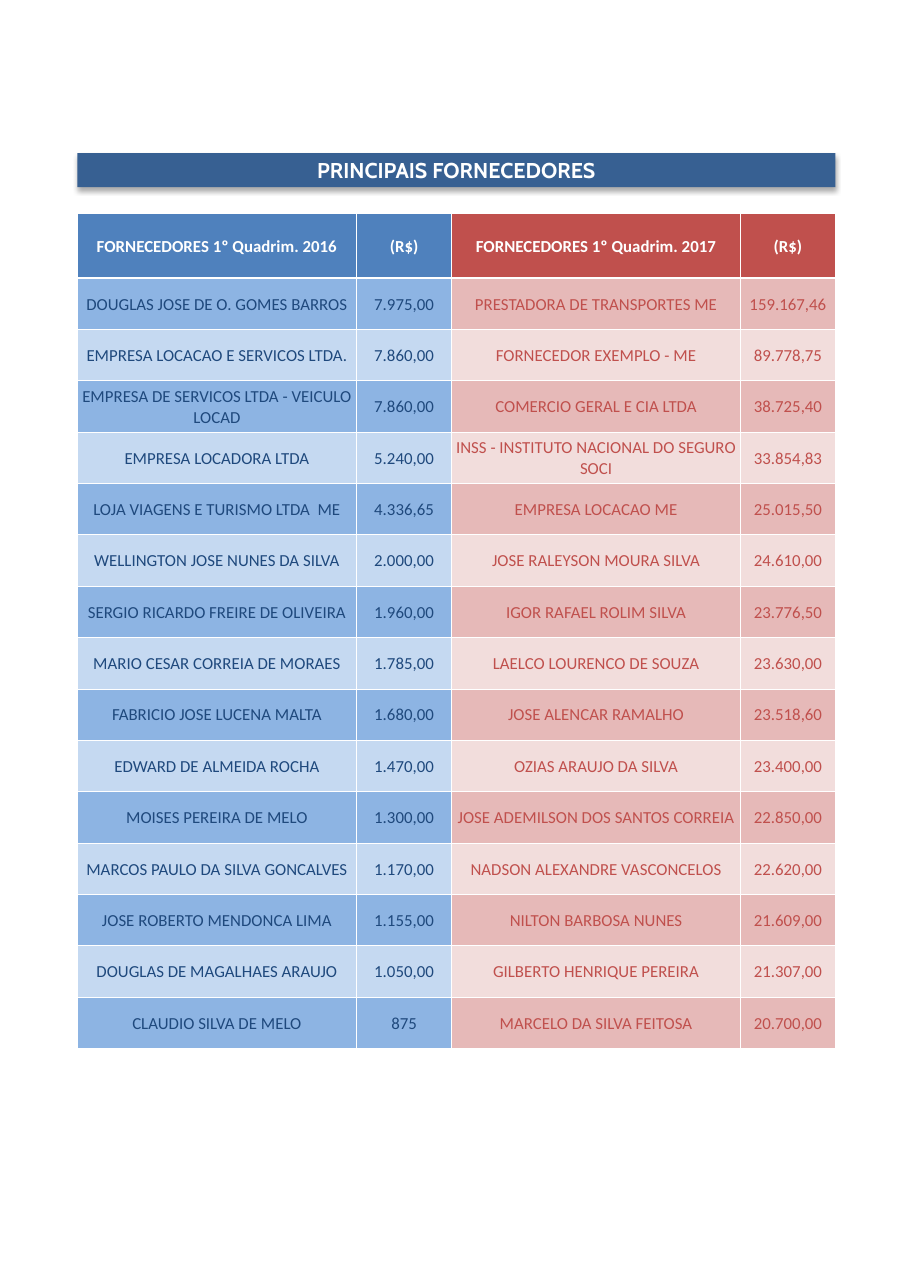
from lxml import etree
from pptx import Presentation
from pptx.dml.color import RGBColor
from pptx.enum.shapes import MSO_SHAPE
from pptx.enum.text import MSO_ANCHOR, PP_ALIGN
from pptx.oxml import parse_xml
from pptx.oxml.ns import qn
from pptx.util import Inches, Pt

RECT = MSO_SHAPE.RECTANGLE
MIDDLE = MSO_ANCHOR.MIDDLE
CENTER = PP_ALIGN.CENTER
WHITE = RGBColor(0xFF, 0xFF, 0xFF)
BLACK = RGBColor(0x00, 0x00, 0x00)
NAVY = RGBColor(0x37, 0x60, 0x92)
INK = RGBColor(0x1F, 0x49, 0x7D)
BLUE = RGBColor(0x4F, 0x81, 0xBD)
SKY = RGBColor(0x8D, 0xB4, 0xE3)
ICE = RGBColor(0xC5, 0xD9, 0xF1)
RED = RGBColor(0xC0, 0x50, 0x4D)
ROSE = RGBColor(0xE6, 0xB9, 0xB8)
BLUSH = RGBColor(0xF2, 0xDD, 0xDC)

WIDTH, HEIGHT = Inches(8.27), Inches(11.69)
LEFT, SPAN = 8.5, 83.2
COLS = [30.64, 10.44, 31.72, 10.4]
HEAD_ROW, BODY_ROW = 4.99, 3.99
THIN, THICK = Pt(0.5), Pt(1)
SIDES = "LRTB"
HEADS = ["FORNECEDORES 1º Quadrim. 2016", "(R$)",
         "FORNECEDORES 1º Quadrim. 2017", "(R$)"]
ROWS = [
    ["DOUGLAS JOSE DE O. GOMES BARROS", "7.975,00",
     "PRESTADORA DE TRANSPORTES ME", "159.167,46"],
    ["EMPRESA LOCACAO E SERVICOS LTDA.", "7.860,00",
     "FORNECEDOR EXEMPLO - ME", "89.778,75"],
    ["EMPRESA DE SERVICOS LTDA - VEICULO LOCAD", "7.860,00",
     "COMERCIO GERAL E CIA LTDA", "38.725,40"],
    ["EMPRESA LOCADORA LTDA", "5.240,00",
     "INSS - INSTITUTO NACIONAL DO SEGURO SOCI", "33.854,83"],
    ["LOJA VIAGENS E TURISMO LTDA  ME", "4.336,65",
     "EMPRESA LOCACAO ME", "25.015,50"],
    ["WELLINGTON JOSE NUNES DA SILVA", "2.000,00",
     "JOSE RALEYSON MOURA SILVA", "24.610,00"],
    ["SERGIO RICARDO FREIRE DE OLIVEIRA", "1.960,00",
     "IGOR RAFAEL ROLIM SILVA", "23.776,50"],
    ["MARIO CESAR CORREIA DE MORAES", "1.785,00",
     "LAELCO LOURENCO DE SOUZA", "23.630,00"],
    ["FABRICIO JOSE LUCENA MALTA", "1.680,00",
     "JOSE ALENCAR RAMALHO", "23.518,60"],
    ["EDWARD DE ALMEIDA ROCHA", "1.470,00",
     "OZIAS ARAUJO DA SILVA", "23.400,00"],
    ["MOISES PEREIRA DE MELO", "1.300,00",
     "JOSE ADEMILSON DOS SANTOS CORREIA", "22.850,00"],
    ["MARCOS PAULO DA SILVA GONCALVES", "1.170,00",
     "NADSON ALEXANDRE VASCONCELOS", "22.620,00"],
    ["JOSE ROBERTO MENDONCA LIMA", "1.155,00",
     "NILTON BARBOSA NUNES", "21.609,00"],
    ["DOUGLAS DE MAGALHAES ARAUJO", "1.050,00",
     "GILBERTO HENRIQUE PEREIRA", "21.307,00"],
    ["CLAUDIO SILVA DE MELO", "875",
     "MARCELO DA SILVA FEITOSA", "20.700,00"],
]


def across(share):
    """Turn a percentage of the slide width into a length."""
    return round(WIDTH * share / 100)


def down(share):
    """Turn a percentage of the slide height into a length."""
    return round(HEIGHT * share / 100)


def write(frame, text, font="Calibri", size=11, color=WHITE, bold=False):
    """Write one centred line of formatted text."""
    para = frame.paragraphs[0]
    para.alignment = CENTER
    run = para.add_run()
    run.text = text
    run.font.name = font
    run.font.size = Pt(size)
    run.font.bold = bold
    run.font.color.rgb = color


def paint(item, color):
    """Fill a shape or a cell with a solid colour."""
    item.fill.solid()
    item.fill.fore_color.rgb = color


def shade(shape):
    """Give a shape a soft shadow below it."""
    shape.shadow.inherit = False
    effects = shape._element.spPr.find(qn("a:effectLst"))
    outer = etree.SubElement(
        effects, qn("a:outerShdw"), blurRad=str(Pt(3.5)), dist=str(Pt(2.2)),
        dir="5400000", algn="t", rotWithShape="0")
    tint = etree.SubElement(outer, qn("a:srgbClr"), val=str(BLACK))
    etree.SubElement(tint, qn("a:alpha"), val="32000")


def border(cell, widths):
    """Draw white lines on the four sides of a cell."""
    props = cell._tc.get_or_add_tcPr()
    for side, width in zip(SIDES, widths):
        props.append(parse_xml(
            f'<a:ln{side} xmlns:a="http://schemas.openxmlformats.org/'
            f'drawingml/2006/main" w="{width}"><a:solidFill>'
            f'<a:srgbClr val="{WHITE}"/></a:solidFill></a:ln{side}>'))


def banner(slide, text):
    """Add the title bar."""
    bar = slide.shapes.add_shape(
        RECT, across(LEFT), down(11.89), across(SPAN), down(2.65))
    paint(bar, NAVY)
    bar.line.fill.background()
    shade(bar)
    bar.text_frame.vertical_anchor = MIDDLE
    write(bar.text_frame, text, font="Cabin", size=14, bold=True)


def fill_cell(cell, text, row, col):
    """Format one cell by its row and its half of the table."""
    cell.margin_left = cell.margin_right = cell.margin_top = Inches(0.01)
    cell.margin_bottom = 0
    cell.vertical_anchor = MIDDLE
    head, first = row == 0, row == 1
    side = THICK if head else THIN
    border(cell, [side, side, THICK if head or first else THIN, side])
    top, odd, even, ink = ((BLUE, SKY, ICE, INK) if col < 2
                           else (RED, ROSE, BLUSH, RED))
    paint(cell, top if head else odd if row % 2 else even)
    write(cell.text_frame, text, color=WHITE if head else ink, bold=head)


def grid(slide, data):
    """Add the table of suppliers."""
    tall = HEAD_ROW + BODY_ROW * (len(data) - 1)
    table = slide.shapes.add_table(
        len(data), len(COLS), across(LEFT), down(16.6),
        across(SPAN), down(tall)).table
    table.first_row = table.horz_banding = False
    for col, share in zip(table.columns, COLS):
        col.width = across(share)
    for row, texts in enumerate(data):
        table.rows[row].height = down(BODY_ROW if row else HEAD_ROW)
        for col, text in enumerate(texts):
            fill_cell(table.cell(row, col), text, row, col)


def main():
    """Build and save the slide."""
    deck = Presentation()
    deck.slide_width, deck.slide_height = WIDTH, HEIGHT
    slide = deck.slides.add_slide(deck.slide_layouts[6])
    banner(slide, "PRINCIPAIS FORNECEDORES")
    grid(slide, [HEADS] + ROWS)
    deck.save("out.pptx")


if __name__ == "__main__":
    main()
